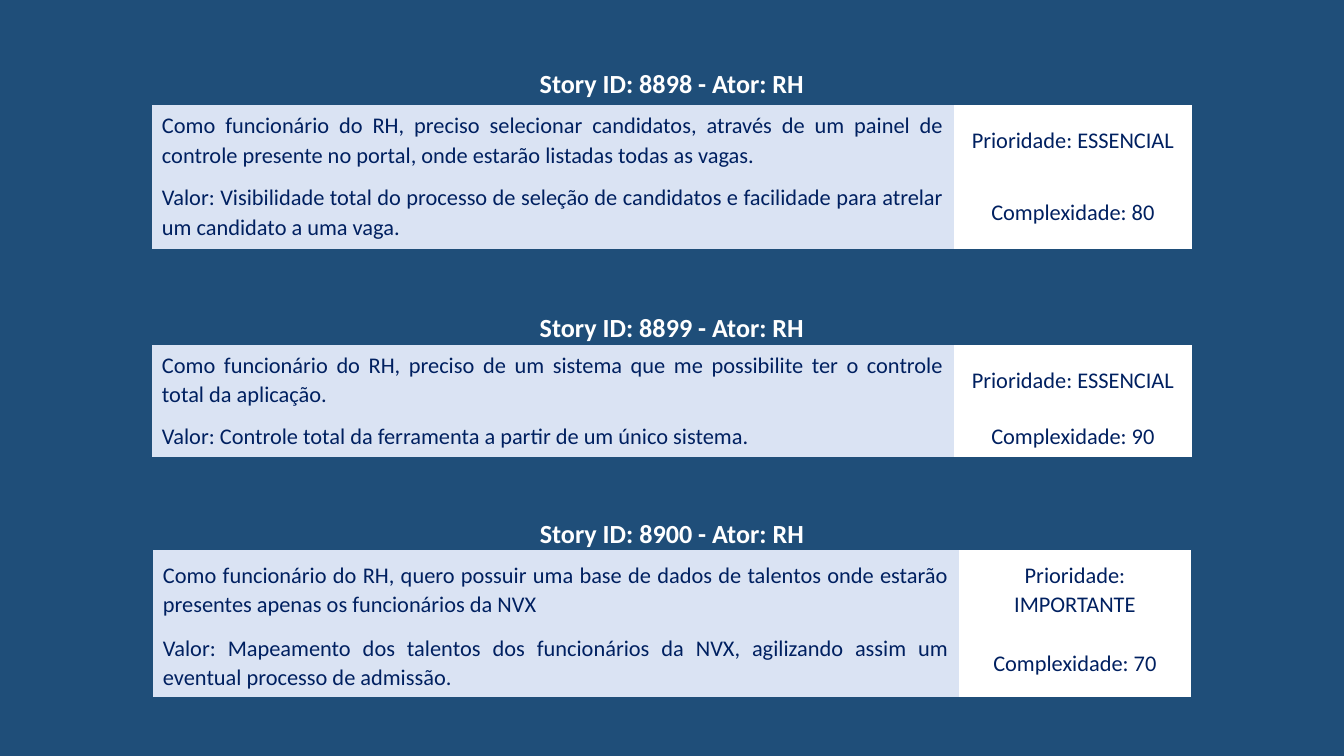
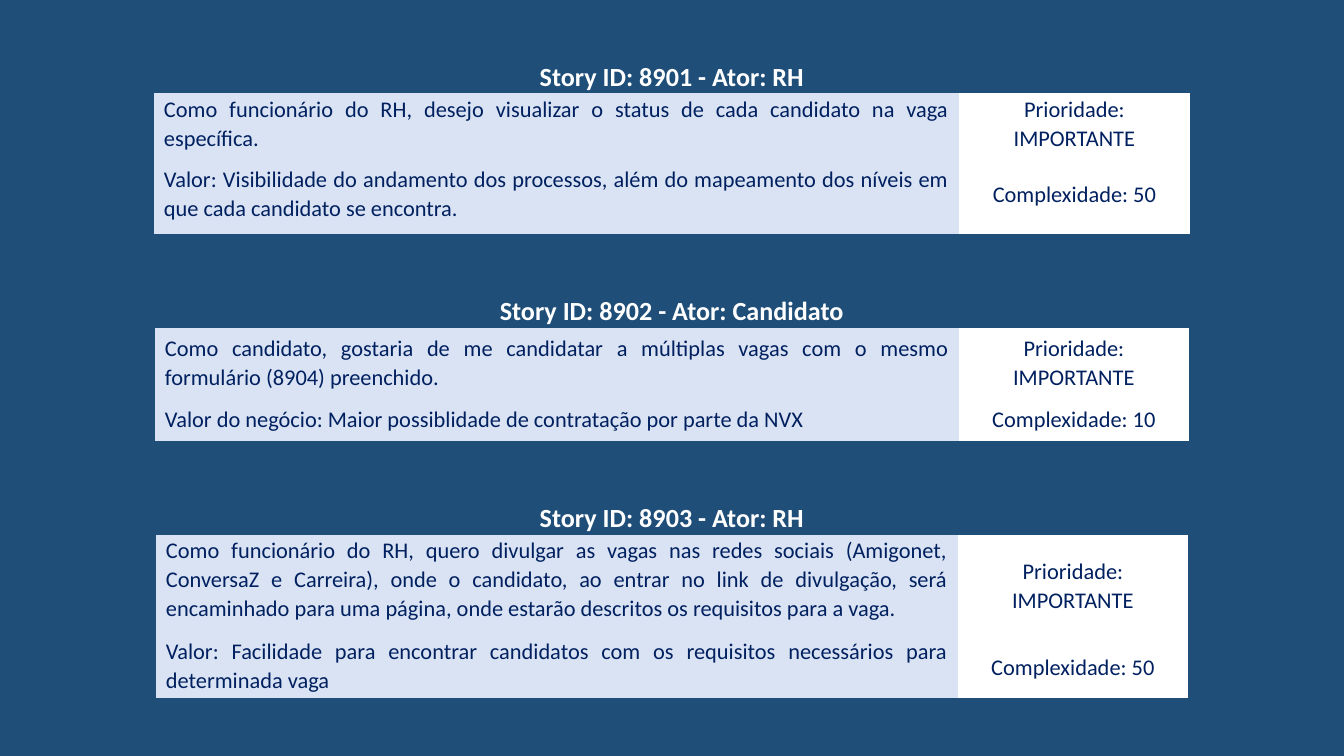
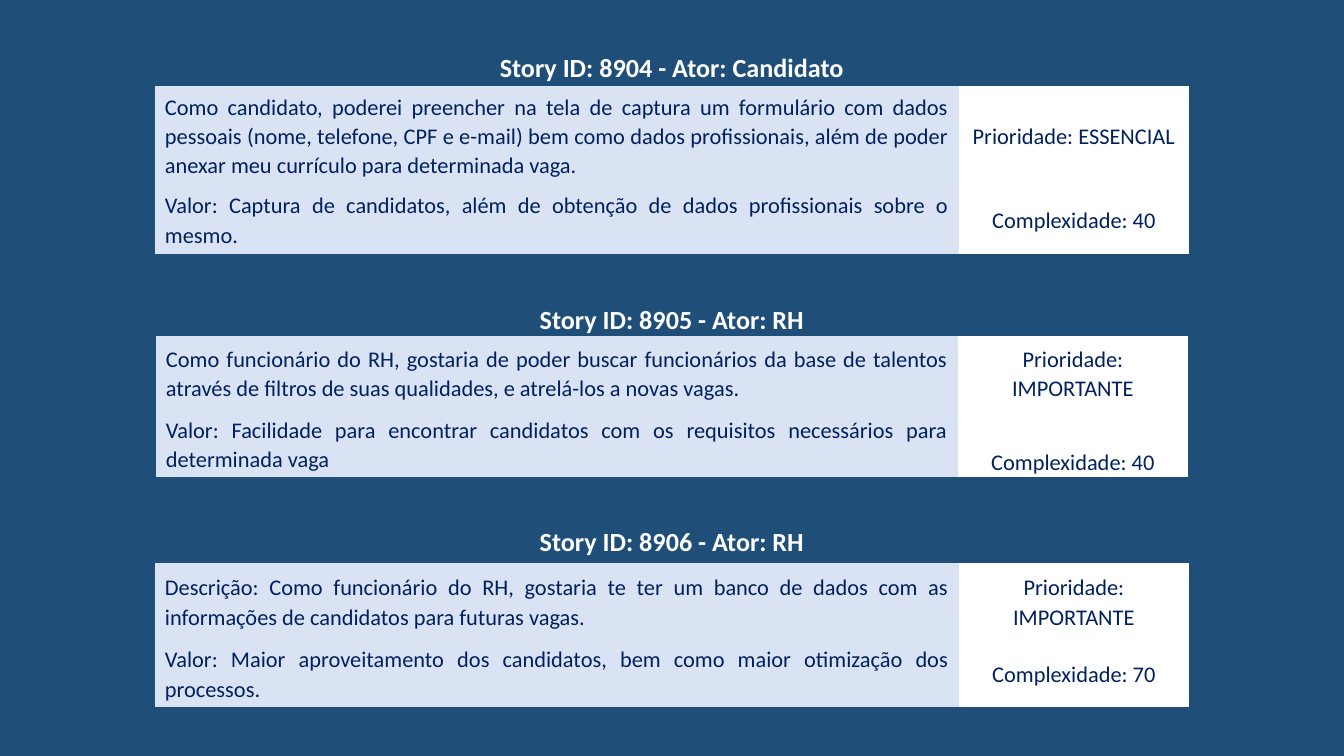
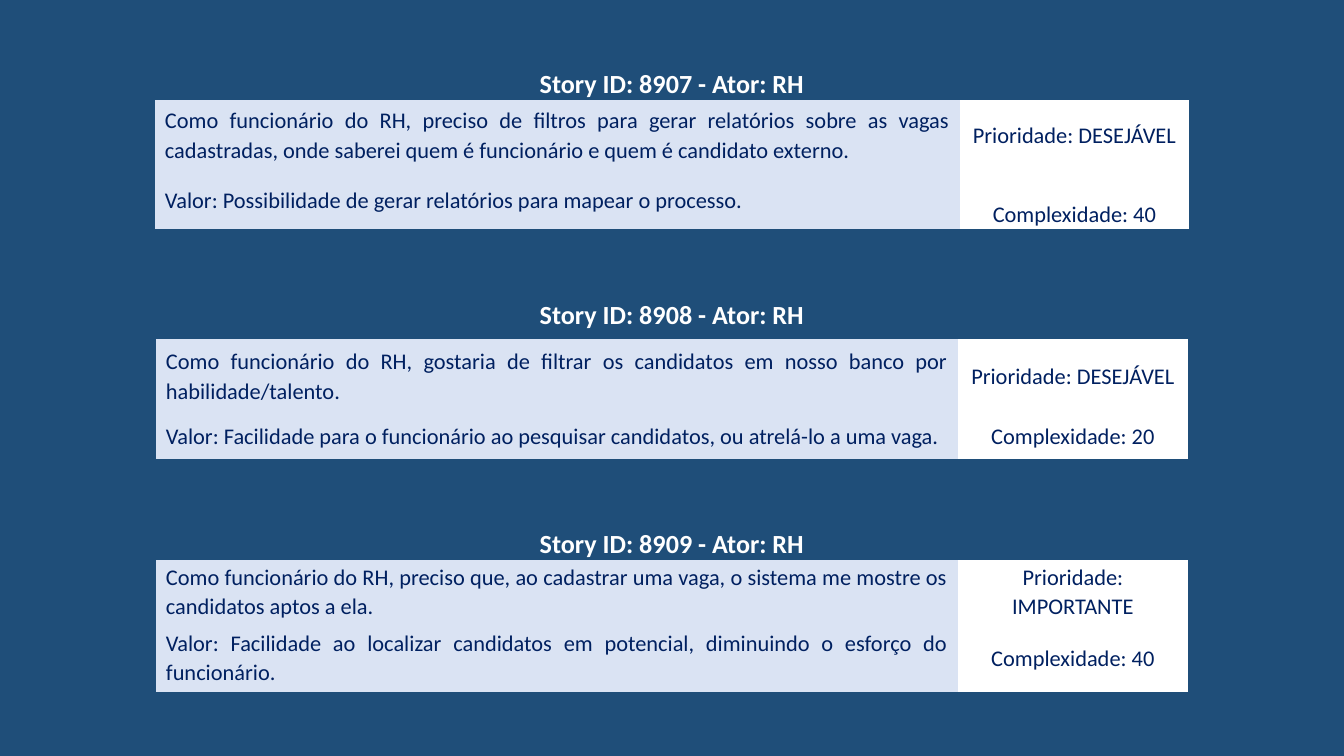
import pptx
import pptx.dml.color
import pptx.enum.text
import pptx.oxml.ns
import pptx.util

SCALE = 914400 / 134.4
WIDE, HIGH = 1344, 756
FONT = "Calibri"
COLORS = {"back": "1F4E79", "title": "FFFFFF", "ink": "002060",
          "story": "DAE3F3", "rank": "FFFFFF"}
PLAIN = "{2D5ABB26-0587-4C30-8999-92F81FD0307C}"
ALIGN = pptx.enum.text.PP_ALIGN
ANCHOR = pptx.enum.text.MSO_ANCHOR

# Each story: its text and rank, then top, width, rank column and row heights in px.
SLIDES = [
    [
        dict(id=8898, actor="RH", level="ESSENCIAL", points=80,
             need="Como funcionário do RH, preciso selecionar candidatos, através de um painel de "
                  "controle presente no portal, onde estarão listadas todas as vagas.",
             value="Valor: Visibilidade total do processo de seleção de candidatos e facilidade "
                   "para atrelar um candidato a uma vaga.",
             top=62, width=1040, side=238, rows=(43, 70, 74)),
        dict(id=8899, actor="RH", level="ESSENCIAL", points=90,
             need="Como funcionário do RH, preciso de um sistema que me possibilite ter o "
                  "controle total da aplicação.",
             value="Valor: Controle total da ferramenta a partir de um único sistema.",
             top=310, width=1040, side=238, rows=(35, 69, 43)),
        dict(id=8900, actor="RH", level="IMPORTANTE", points=70,
             need="Como funcionário do RH, quero possuir uma base de dados de talentos onde "
                  "estarão presentes apenas os funcionários da NVX",
             value="Valor: Mapeamento dos talentos dos funcionários da NVX, agilizando assim um "
                   "eventual processo de admissão.",
             top=516, width=1038, side=232, rows=(34, 78, 69)),
    ],
    [
        dict(id=8901, actor="RH", level="IMPORTANTE", points=50,
             need="Como funcionário do RH, desejo visualizar o status de cada candidato na vaga "
                  "específica.",
             value="Valor: Visibilidade do andamento dos processos, além do mapeamento dos níveis "
                   "em que cada candidato se encontra.",
             top=59, width=1036, side=231, rows=(34, 60, 81), head=ANCHOR.TOP),
        dict(id=8902, actor="Candidato", level="IMPORTANTE", points=10,
             need="Como candidato, gostaria de me candidatar a múltiplas vagas com o mesmo "
                  "formulário (8904) preenchido.",
             value="Valor do negócio: Maior possiblidade de contratação por parte da NVX",
             top=293, width=1034, side=230, rows=(35, 69, 44), head=ANCHOR.TOP),
        dict(id=8903, actor="RH", level="IMPORTANTE", points=50,
             need="Como funcionário do RH, quero divulgar as vagas nas redes sociais (Amigonet, "
                  "ConversaZ e Carreira), onde o candidato, ao entrar no link de divulgação, será "
                  "encaminhado para uma página, onde estarão descritos os requisitos para a vaga.",
             value="Valor: Facilidade para encontrar candidatos com os requisitos necessários "
                   "para determinada vaga",
             top=500, width=1032, side=230, rows=(35, 101, 62), body=ANCHOR.TOP),
    ],
    [
        dict(id=8904, actor="Candidato", level="ESSENCIAL", points=40,
             need="Como candidato, poderei preencher na tela de captura um formulário com dados "
                  "pessoais (nome, telefone, CPF e e-mail) bem como dados profissionais, além de "
                  "poder anexar meu currículo para determinada vaga.",
             value="Valor: Captura de candidatos, além de obtenção de dados profissionais sobre "
                   "o mesmo.",
             top=48, width=1034, side=230, rows=(38, 100, 68)),
        dict(id=8905, actor="RH", level="IMPORTANTE", points=40,
             need="Como funcionário do RH, gostaria de poder buscar funcionários da base de "
                  "talentos através de filtros de suas qualidades, e atrelá-los a novas vagas.",
             value="Valor: Facilidade para encontrar candidatos com os requisitos necessários "
                   "para determinada vaga",
             top=302, width=1032, side=230, rows=(34, 75, 66), last=ANCHOR.BOTTOM),
        dict(id=8906, actor="RH", level="IMPORTANTE", points=70,
             need="Descrição: Como funcionário do RH, gostaria te ter um banco de dados com as "
                  "informações de candidatos para futuras vagas.",
             value="Valor: Maior aproveitamento dos candidatos, bem como maior otimização dos "
                   "processos.",
             top=524, width=1034, side=230, rows=(39, 78, 66), head=ANCHOR.TOP),
    ],
    [
        dict(id=8907, actor="RH", level="DESEJÁVEL", points=40,
             need="Como funcionário do RH, preciso de filtros para gerar relatórios sobre as "
                  "vagas cadastradas, onde saberei quem é funcionário e quem é candidato externo.",
             value="Valor: Possibilidade de gerar relatórios para mapear o processo.",
             top=66, width=1034, side=229, rows=(34, 70, 59), last=ANCHOR.BOTTOM),
        dict(id=8908, actor="RH", level="DESEJÁVEL", points=20,
             need="Como funcionário do RH, gostaria de filtrar os candidatos em nosso banco por "
                  "habilidade/talento.",
             value="Valor: Facilidade para o funcionário ao pesquisar candidatos, ou atrelá-lo a "
                   "uma vaga.",
             top=290, width=1032, side=230, rows=(49, 74, 46)),
        dict(id=8909, actor="RH", level="IMPORTANTE", points=40,
             need="Como funcionário do RH, preciso que, ao cadastrar uma vaga, o sistema me "
                  "mostre os candidatos aptos a ela.",
             value="Valor: Facilidade ao localizar candidatos em potencial, diminuindo o esforço "
                   "do funcionário.",
             top=526, width=1032, side=230, rows=(34, 63, 69)),
    ],
]


def px(count):
    return pptx.util.Emu(round(count * SCALE))


def color(name):
    return pptx.dml.color.RGBColor.from_string(COLORS[name])


def write(frame, text, size=12, ink="ink", bold=False, align=ALIGN.CENTER):
    para = frame.paragraphs[0]
    para.alignment = align
    para.line_spacing = 1.07
    run = para.add_run()
    run.text = text
    run.font.name = FONT
    run.font.size = pptx.util.Pt(size)
    run.font.bold = bold
    run.font.color.rgb = color(ink)


class Deck:
    def __init__(self):
        self.file = pptx.Presentation()
        self.file.slide_width, self.file.slide_height = px(WIDE), px(HIGH)
        self.slide = None

    def page(self):
        self.slide = self.file.slides.add_slide(self.file.slide_layouts[6])
        fill = self.slide.background.fill
        fill.solid()
        fill.fore_color.rgb = color("back")

    def grid(self, left, top, cols, rows):
        """Add a table without style, banding or borders."""
        table = self.slide.shapes.add_table(
            len(rows), len(cols), px(left), px(top), px(sum(cols)), px(sum(rows))).table
        table.first_row = table.horz_banding = False
        style = table._tbl.tblPr.find(pptx.oxml.ns.qn("a:tableStyleId"))
        style.text = PLAIN
        for col, width in zip(table.columns, cols):
            col.width = px(width)
        for row, height in zip(table.rows, rows):
            row.height = px(height)
        return table

    def cell(self, cell, text, fill=None, anchor=ANCHOR.MIDDLE, **style):
        cell.margin_left = cell.margin_right = px(10)
        cell.margin_top = cell.margin_bottom = 0
        cell.vertical_anchor = anchor
        if fill:
            cell.fill.solid()
            cell.fill.fore_color.rgb = color(fill)
        else:
            cell.fill.background()
        write(cell.text_frame, text, **style)

    def story(self, id, actor, need, value, level, points, top, width, side, rows,
              head=ANCHOR.MIDDLE, body=ANCHOR.MIDDLE, last=ANCHOR.MIDDLE):
        """Add one centred story card; head, body and last are text anchors."""
        table = self.grid((WIDE - width) // 2, top, (width - side, side), rows)
        table.cell(0, 0).merge(table.cell(0, 1))
        self.cell(table.cell(0, 0), f"Story ID: {id} - Ator: {actor}",
                  anchor=head, size=14, ink="title", bold=True)
        lines = [(need, f"Prioridade: {level}", ANCHOR.MIDDLE),
                 (value, f"Complexidade: {points}", last)]
        for row, (text, rank, anchor) in enumerate(lines, 1):
            self.cell(table.cell(row, 0), text, "story", body, align=ALIGN.JUSTIFY)
            self.cell(table.cell(row, 1), rank, "rank", anchor)


def main():
    deck = Deck()
    for stories in SLIDES:
        deck.page()
        for story in stories:
            deck.story(**story)
    deck.file.save("out.pptx")


if __name__ == "__main__":
    main()
